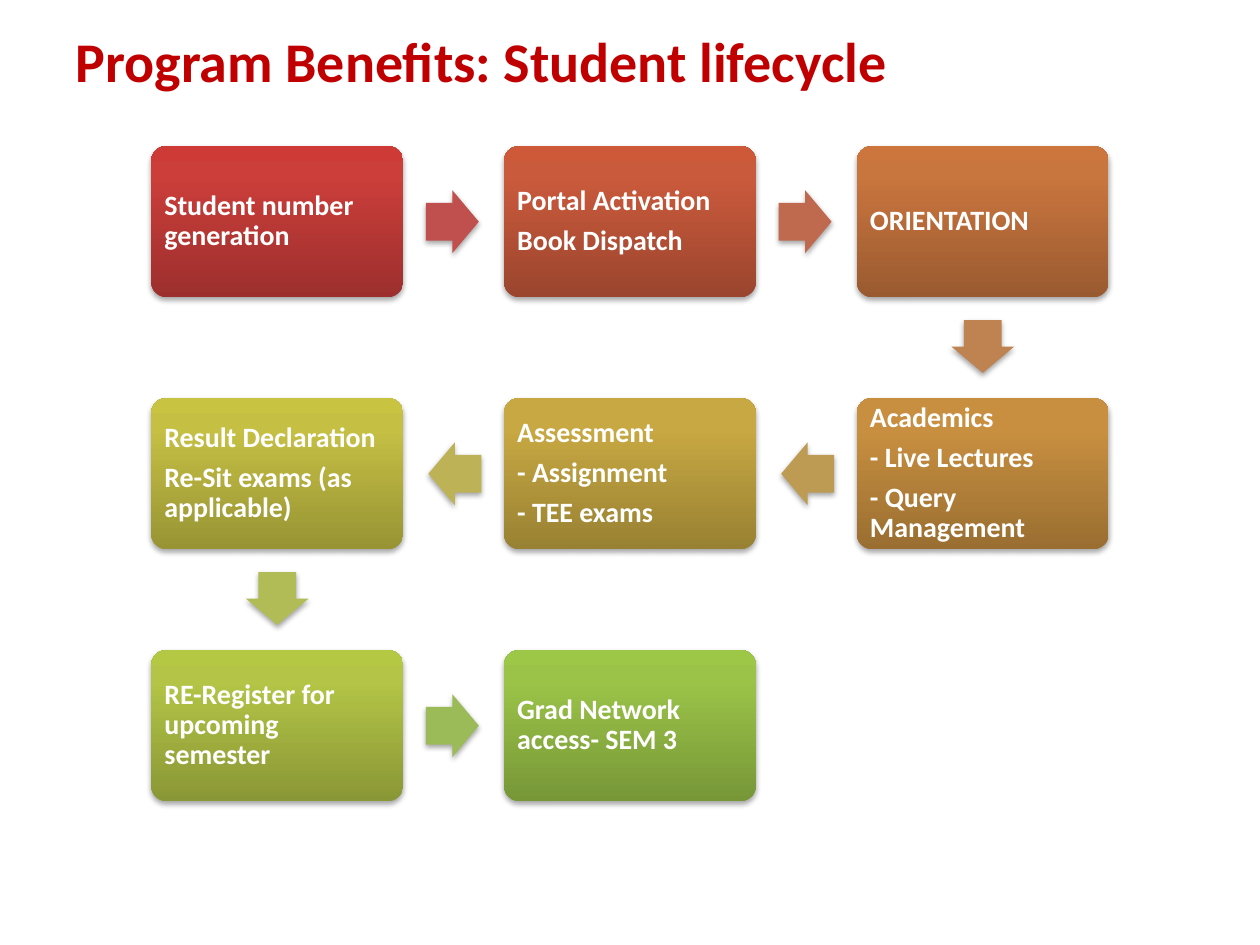
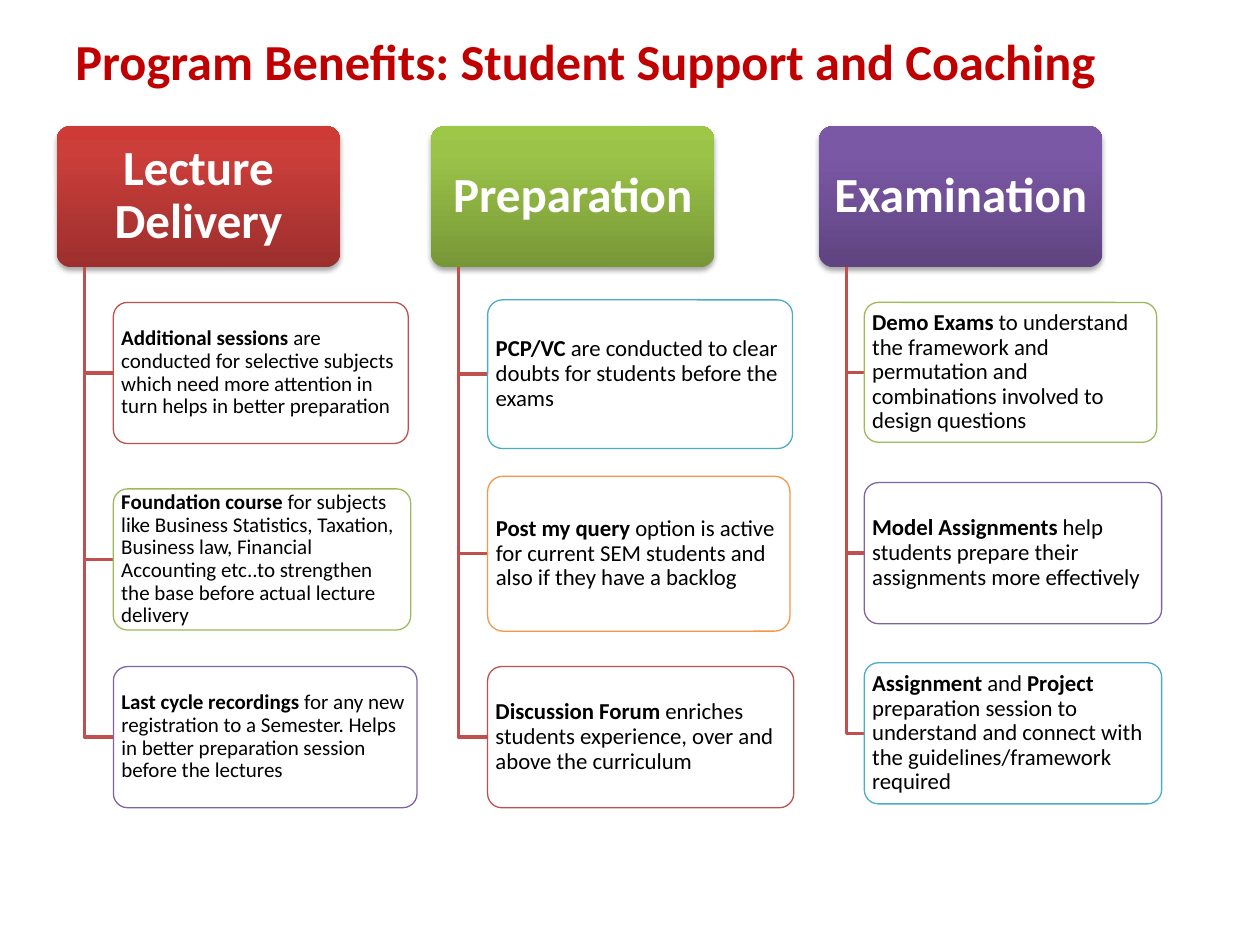
from copy import deepcopy
from dataclasses import dataclass
from itertools import zip_longest

from pptx import Presentation
from pptx.dml.color import RGBColor
from pptx.enum.shapes import MSO_SHAPE
from pptx.enum.text import MSO_ANCHOR, PP_ALIGN
from pptx.oxml import parse_xml
from pptx.oxml.ns import nsdecls, qn
from pptx.util import Inches, Pt


@dataclass(frozen=True)
class Theme:
    """Colours, type sizes and line widths shared by the slides."""

    font: str = "Calibri"
    title_color: str = "C00000"
    light_text: str = "FFFFFF"
    dark_text: str = "000000"
    card_fill: str = "FFFFFF"
    card_opacity: int = 90
    red: str = "C0504D"
    green: str = "9BBB59"
    purple: str = "8064A2"
    blue: str = "4BACC6"
    orange: str = "F79646"
    red_gradient: tuple = ("9C2F2D", "CB3E3A", "CE3B37")
    green_gradient: tuple = ("779737", "9BC348", "9DC746")
    purple_gradient: tuple = ("5F4480", "7B58A6", "7C57A8")
    gradient_positions: tuple = (0, 0.8, 1)
    step_size: float = 16
    header_size: float = 28
    line_spacing: float = 0.9
    space_ratio: float = 0.35
    card_line: float = 0.75
    branch_line: float = 2
    corner: float = 0.1


@dataclass(frozen=True)
class Box:
    """A rectangle in inches."""

    left: float
    top: float
    width: float
    height: float

    def lengths(self):
        """Return the four sides as lengths."""
        return [Inches(value) for value in (self.left, self.top, self.width, self.height)]


THEME = Theme()
TITLE_BOX = Box(0.5, 0.13, 9, 0.7)
LIFECYCLE_BOX = Box(1.2, 1.16, 7.6, 5.2)
STEP_WIDTH, STEP_HEIGHT = 2, 1.2
ARROW_LENGTH, ARROW_WIDTH, ARROW_GAP = 0.42, 0.5, 0.18
ARROW_ROTATIONS = {(1, 0): 0, (0, 1): 90, (-1, 0): 180}
HEADER_WIDTH, HEADER_HEIGHT, TRUNK_OFFSET = 2.25, 1.12, 0.22

STEPS = [
    ((0, 0), ["Student number generation"], THEME.red_gradient, "C0504D"),
    ((1, 0), ["Portal Activation", "Book Dispatch"], ("9B452E", "CA5A3C", "CD5939"), "BF6A4F"),
    ((2, 0), ["ORIENTATION"], ("9A5A30", "C9753E", "CC753C"), "BE8351"),
    ((2, 1), ["Academics", "- Live Lectures", "- Query Management"],
     ("9A6E31", "C88F40", "CB903E"), "BD9B53"),
    ((1, 1), ["Assessment", "- Assignment", "- TEE exams"],
     ("998133", "C7A842", "CAAA40"), "BDB255"),
    ((0, 1), ["Result Declaration", "Re-Sit exams (as applicable)"],
     ("989434", "C5C044", "C9C342"), "B1BC57"),
    ((0, 2), ["RE-Register for upcoming semester"], ("8A9736", "B3C446", "B5C844"), THEME.green),
    ((1, 2), ["Grad Network access- SEM 3"], THEME.green_gradient, None),
]

SUPPORT_COLUMNS = [
    {"heading": "Lecture Delivery", "left": 0.45, "indent": 0.45, "size": 12,
     "gradient": THEME.red_gradient, "cards": [
         (1.4, 2.34, 1.12, THEME.red, [
             "Additional sessions ", "are conducted for selective subjects which need more "
             "attention in turn helps in better preparation"]),
         (2.88, 2.36, 1.12, THEME.green, [
             "Foundation course ", "for subjects like Business Statistics, Taxation, Business "
             "law, Financial Accounting etc..to strengthen the base before actual lecture "
             "delivery"]),
         (4.29, 2.41, 1.12, THEME.purple, [
             "Last cycle recordings ", "for any new registration to a Semester. Helps in better "
             "preparation session before the lectures"])]},
    {"heading": "Preparation", "left": 3.42, "indent": 0.45, "size": 13,
     "gradient": THEME.green_gradient, "cards": [
         (1.38, 2.42, 1.18, THEME.blue, [
             "PCP/VC", " are conducted to clear doubts for students before the exams"]),
         (2.78, 2.4, 1.23, THEME.orange, [
             "Post my query ", "option is active for current SEM students and also if they "
             "have a backlog"]),
         (4.29, 2.43, 1.12, THEME.red, [
             "Discussion Forum ", "enriches students experience, over and above the "
             "curriculum"])]},
    {"heading": "Examination", "left": 6.5, "indent": 0.36, "size": 13,
     "gradient": THEME.purple_gradient, "cards": [
         (1.4, 2.32, 1.11, THEME.green, [
             "Demo Exams", " to understand the framework and permutation and combinations "
             "involved to design questions"]),
         (2.83, 2.36, 1.12, THEME.purple, [
             "Model Assignments", " help students prepare their assignments more effectively"]),
         (4.26, 2.36, 1.12, THEME.blue, [
             "Assignment", " and ", "Project", " preparation session to understand and connect "
             "with the guidelines/framework required"])]},
]


def apply_format(target, values):
    """Set each named attribute of the target."""
    for name, value in values.items():
        setattr(target, name, value)


def write_text(shape, paragraphs, size, color, insets, alignment=PP_ALIGN.LEFT):
    """Write paragraphs whose runs alternate between bold and regular."""
    horizontal, vertical = (Inches(inset) for inset in insets)
    frame = shape.text_frame
    apply_format(frame, {
        "word_wrap": True, "vertical_anchor": MSO_ANCHOR.MIDDLE,
        "margin_left": horizontal, "margin_right": horizontal,
        "margin_top": vertical, "margin_bottom": vertical})
    for index, pieces in enumerate(paragraphs):
        paragraph = frame.add_paragraph() if index else frame.paragraphs[0]
        apply_format(paragraph, {
            "alignment": alignment, "line_spacing": THEME.line_spacing,
            "space_after": Pt(size * THEME.space_ratio)})
        for position, piece in enumerate(pieces):
            run = paragraph.add_run()
            run.text = piece
            apply_format(run.font, {"name": THEME.font, "size": Pt(size),
                                    "bold": position % 2 == 0})
            run.font.color.rgb = RGBColor.from_string(color)


def set_line(shape, color, width):
    """Give the shape a solid outline."""
    shape.line.color.rgb = RGBColor.from_string(color)
    shape.line.width = Pt(width)


def add_soft_shadow(shape):
    """Add a soft shadow that falls straight down."""
    shape.shadow.inherit = False
    effects = shape._element.spPr.find(qn("a:effectLst"))
    effects.append(parse_xml(
        f'<a:outerShdw {nsdecls("a")} blurRad="{Pt(3.1)}" dist="{Pt(1.8)}" dir="5400000" '
        'rotWithShape="0"><a:srgbClr val="000000"><a:alpha val="35000"/></a:srgbClr>'
        '</a:outerShdw>'))


def add_rounded_box(slide, box):
    """Add a rounded rectangle with the shared corner."""
    shape = slide.shapes.add_shape(MSO_SHAPE.ROUNDED_RECTANGLE, *box.lengths())
    shape.adjustments[0] = THEME.corner
    return shape


def add_gradient_box(slide, box, colors):
    """Add a rounded box with a three-stop gradient and a shadow."""
    shape = add_rounded_box(slide, box)
    shape.fill.gradient()
    shape.fill.gradient_angle = 90
    stop_list = shape._element.spPr.find(".//" + qn("a:gsLst"))
    stop_list.insert(1, deepcopy(stop_list[0]))
    for stop, position, color in zip(shape.fill.gradient_stops, THEME.gradient_positions, colors):
        stop.position = position
        stop.color.rgb = RGBColor.from_string(color)
    shape.line.fill.background()
    add_soft_shadow(shape)
    return shape


def add_title(slide, box, text, size):
    """Add the slide title."""
    shape = slide.shapes.add_textbox(*box.lengths())
    write_text(shape, [[text]], size, THEME.title_color, (0.1, 0.05))
    shape.text_frame.paragraphs[0].line_spacing = 1


def add_step_arrow(slide, step_box, direction, color):
    """Add a block arrow leaving the step in the given direction."""
    across, down = direction
    reach = ARROW_GAP + ARROW_LENGTH / 2
    center_x = step_box.left + step_box.width / 2 + across * (step_box.width / 2 + reach)
    center_y = step_box.top + step_box.height / 2 + down * (step_box.height / 2 + reach)
    box = Box(center_x - ARROW_LENGTH / 2, center_y - ARROW_WIDTH / 2, ARROW_LENGTH, ARROW_WIDTH)
    arrow = slide.shapes.add_shape(MSO_SHAPE.RIGHT_ARROW, *box.lengths())
    arrow.adjustments[0], arrow.adjustments[1] = 0.6, 0.5
    arrow.rotation = ARROW_ROTATIONS[direction]
    arrow.fill.solid()
    arrow.fill.fore_color.rgb = RGBColor.from_string(color)
    arrow.line.fill.background()
    add_soft_shadow(arrow)


def add_lifecycle(slide, box, steps):
    """Place the steps on a three by three grid and join them with arrows."""
    column_pitch = (box.width - STEP_WIDTH) / 2
    row_pitch = (box.height - STEP_HEIGHT) / 2
    for step, following in zip_longest(steps, steps[1:]):
        (column, row), lines, gradient, arrow_color = step
        step_box = Box(box.left + column * column_pitch, box.top + row * row_pitch,
                       STEP_WIDTH, STEP_HEIGHT)
        shape = add_gradient_box(slide, step_box, gradient)
        write_text(shape, [[line] for line in lines], THEME.step_size, THEME.light_text,
                   (0.07, 0.07))
        if following:
            next_column, next_row = following[0]
            add_step_arrow(slide, step_box, (next_column - column, next_row - row), arrow_color)


def add_branch(slide, box):
    """Draw an elbow down the left and along the bottom of the box."""
    left, top, width, height = box.lengths()
    builder = slide.shapes.build_freeform(left, top)
    builder.add_line_segments([(left, top + height), (left + width, top + height)], close=False)
    branch = builder.convert_to_shape()
    branch.fill.background()
    branch.shadow.inherit = False
    set_line(branch, THEME.red, THEME.branch_line)


def add_card(slide, box, color, pieces, size):
    """Add an outlined card with its text."""
    card = add_rounded_box(slide, box)
    card.fill.solid()
    card.fill.fore_color.rgb = RGBColor.from_string(THEME.card_fill)
    color_element = card._element.spPr.find(qn("a:solidFill"))[0]
    color_element.append(parse_xml(
        f'<a:alpha {nsdecls("a")} val="{THEME.card_opacity * 1000}"/>'))
    set_line(card, color, THEME.card_line)
    card.shadow.inherit = False
    write_text(card, [pieces], size, THEME.dark_text, (0.03, 0.02))


def add_support_column(slide, header_box, column):
    """Add a heading with the cards that branch from it."""
    header = add_gradient_box(slide, header_box, column["gradient"])
    write_text(header, [[column["heading"]]], THEME.header_size, THEME.light_text,
               (0.06, 0.04), PP_ALIGN.CENTER)
    trunk_left = header_box.left + TRUNK_OFFSET
    card_left = header_box.left + column["indent"]
    for top, width, height, color, pieces in column["cards"]:
        add_branch(slide, Box(trunk_left, header_box.top + header_box.height,
                              card_left - trunk_left, top + height / 2 - header_box.height))
        add_card(slide, Box(card_left, header_box.top + top, width, height), color, pieces,
                 column["size"])


def add_titled_slide(presentation, title, size):
    """Add a blank slide with the shared title style."""
    slide = presentation.slides.add_slide(presentation.slide_layouts[6])
    add_title(slide, TITLE_BOX, title, size)
    return slide


def main():
    """Build and save the presentation."""
    presentation = Presentation()
    apply_format(presentation, {"slide_width": Inches(10), "slide_height": Inches(7.5)})
    lifecycle = add_titled_slide(presentation, "Program Benefits: Student lifecycle", 32)
    add_lifecycle(lifecycle, LIFECYCLE_BOX, STEPS)
    support = add_titled_slide(
        presentation, "Program Benefits: Student Support and Coaching", 28.8)
    for column in SUPPORT_COLUMNS:
        add_support_column(support, Box(column["left"], 1, HEADER_WIDTH, HEADER_HEIGHT), column)
    presentation.save("out.pptx")


if __name__ == "__main__":
    main()
